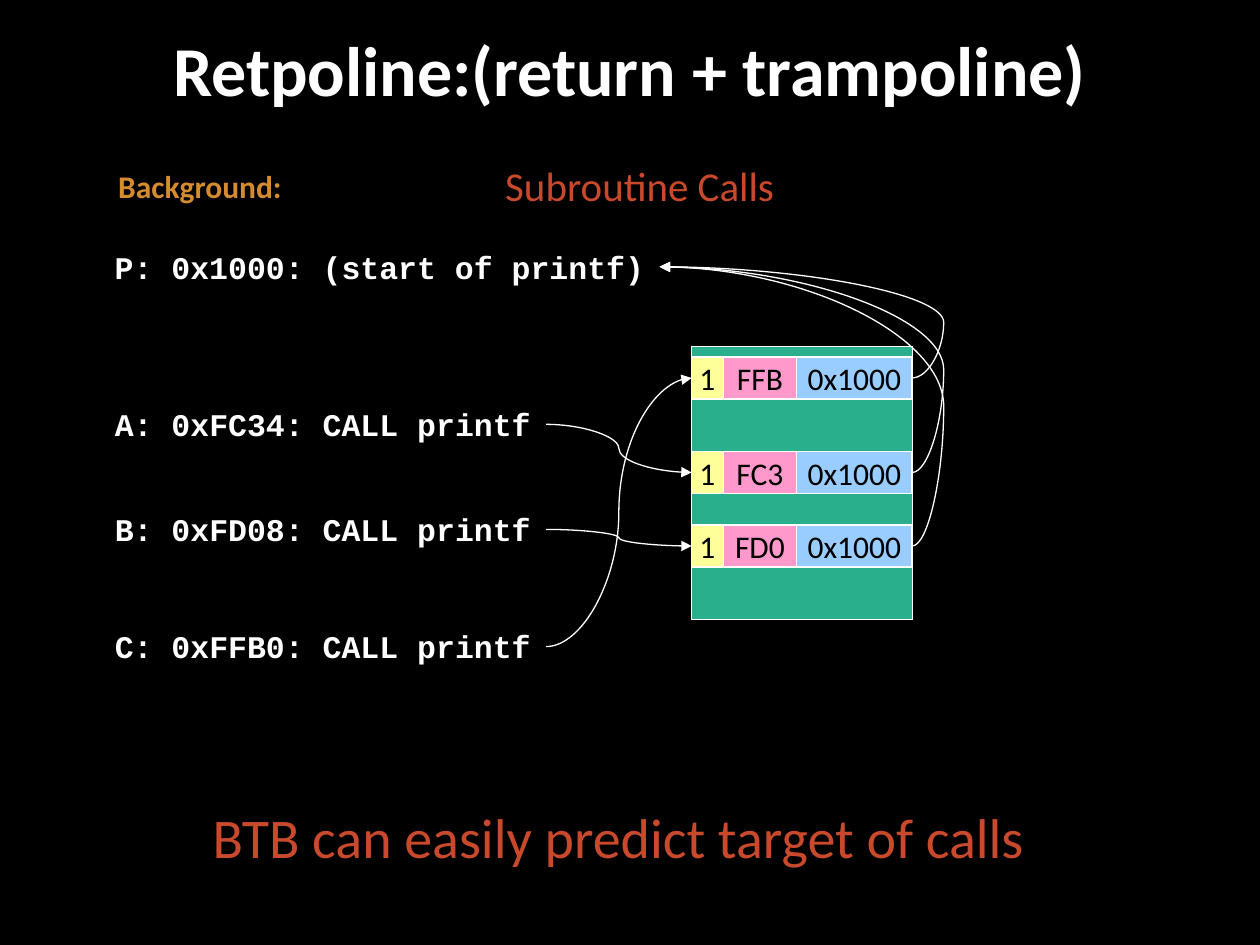
from lxml import etree
from pptx import Presentation
from pptx.dml.color import RGBColor
from pptx.enum import shapes, text
from pptx.oxml import ns
from pptx.util import Pt

# Content: text, (left, top, width, height), format
WHITE, RUST, BLACK = "FFFFFF", "C9492C", "000000"
TITLE = ("Retpoline:(return + trampoline)", (36, 12.5, 647.5, 59.5))
LABELS = [
    ("Background:", (60.5, 92, 534, 29), dict(size=18, color="D58C2E", bold=True)),
    ("Subroutine Calls", (5.5, 85, 720, 45),
     dict(size=23.4, color=RUST, center=True, middle=True, spacing=0.9)),
    ("BTB can easily predict target of calls", (-6.5, 455, 720, 45),
     dict(size=32, color=RUST, center=True)),
]
CODE_LEFT, CODE_HEIGHT, CALL_WIDTH = 58.5, 29, 253.5
PRINTF = ("P: 0x1000: (start of printf)", 138, 318.5)
# Call site, its top, buffer tag, top of its buffer row
CALLS = [
    ("A: 0xFC34: CALL printf", 228, "FC3", 258),
    ("B: 0xFD08: CALL printf", 288, "FD0", 300),
    ("C: 0xFFB0: CALL printf", 355, "FFB", 204),
]
BUFFER = (395.25, 198, 126, 156)
COLUMNS = [(18, "FFFF99"), (42, "FF99CC"), (66, "99CCFF")]
ROW_HEIGHT = 24


def color_of(value):
    return RGBColor.from_string(value)


def write(shape, words, size, color, font="Calibri", bold=False, center=False,
          middle=False, spacing=None, wrap=True):
    frame = shape.text_frame
    frame.word_wrap = wrap
    frame.vertical_anchor = (text.MSO_ANCHOR.MIDDLE if middle
                             else text.MSO_ANCHOR.TOP)
    para = frame.paragraphs[0]
    para.alignment = text.PP_ALIGN.CENTER if center else text.PP_ALIGN.LEFT
    if spacing:
        para.line_spacing = spacing
    span = para.add_run()
    span.text = words
    for name, value in dict(name=font, size=Pt(size), bold=bold).items():
        setattr(span.font, name, value)
    span.font.color.rgb = color_of(color)


def add_label(page, words, place, look):
    box = page.shapes.add_textbox(*map(Pt, place))
    write(box, words, **look)


def add_code(page, words, top, width):
    add_label(page, words, (CODE_LEFT, top, width, CODE_HEIGHT),
              dict(size=18, color=WHITE, font="Courier New", bold=True, wrap=False))


def add_block(page, place, fill, words=None):
    block = page.shapes.add_shape(shapes.MSO_SHAPE.RECTANGLE, *map(Pt, place))
    block.shadow.inherit = False
    block.fill.solid()
    block.fill.fore_color.rgb = color_of(fill)
    block.line.color.rgb = color_of(WHITE)
    block.line.width = Pt(0.75)
    if words:
        write(block, words, 18, BLACK, center=True, middle=True, wrap=False)


def add_curve(page, start, end, bend):
    """Curved arrow; bend is the turning point as a share of the width."""
    curve = page.shapes.add_connector(shapes.MSO_CONNECTOR.CURVE,
                                      *map(Pt, start + end))
    curve.line.color.rgb = color_of(WHITE)
    curve.line.width = Pt(0.75)
    properties = curve._element.spPr
    guides = properties.find(ns.qn("a:prstGeom")).get_or_add_avLst()
    etree.SubElement(guides, ns.qn("a:gd"), name="adj1",
                     fmla=f"val {round(bend * 100000)}")
    etree.SubElement(properties.find(ns.qn("a:ln")), ns.qn("a:tailEnd"),
                     type="triangle")
    etree.SubElement(properties, ns.qn("a:effectLst"))


def main():
    deck = Presentation()
    deck.slide_width, deck.slide_height = Pt(720), Pt(540)
    page = deck.slides.add_slide(deck.slide_layouts[5])
    page.background.fill.solid()
    page.background.fill.fore_color.rgb = color_of(BLACK)

    # Title and labels
    words, place = TITLE
    title = page.shapes.title
    title.left, title.top, title.width, title.height = map(Pt, place)
    write(title, words, 40, WHITE, bold=True, center=True, middle=True, spacing=0.9)
    for words, place, look in LABELS:
        add_label(page, words, place, look)

    # Code lines
    for words, top, _, _ in CALLS:
        add_code(page, words, top, CALL_WIDTH)
    add_code(page, *PRINTF)

    # Branch target buffer
    add_block(page, BUFFER, "29AF8C")
    for _, _, tag, top in CALLS:
        left = BUFFER[0]
        for (width, fill), words in zip(COLUMNS, ("1", tag, "0x1000")):
            add_block(page, (left, top, width, ROW_HEIGHT), fill, words)
            left += width

    # Arrows from each call to its row, and from the row to printf
    _, printf_top, printf_width = PRINTF
    target = (CODE_LEFT + printf_width, printf_top + CODE_HEIGHT / 2)
    right = BUFFER[0] + BUFFER[2]
    for _, call_top, _, row_top in CALLS:
        row_middle = row_top + ROW_HEIGHT / 2
        call_end = (CODE_LEFT + CALL_WIDTH, call_top + CODE_HEIGHT / 2)
        add_curve(page, call_end, (BUFFER[0], row_middle), 0.5)
        add_curve(page, (right, row_middle), target, -0.125)

    deck.save("out.pptx")


if __name__ == "__main__":
    main()
